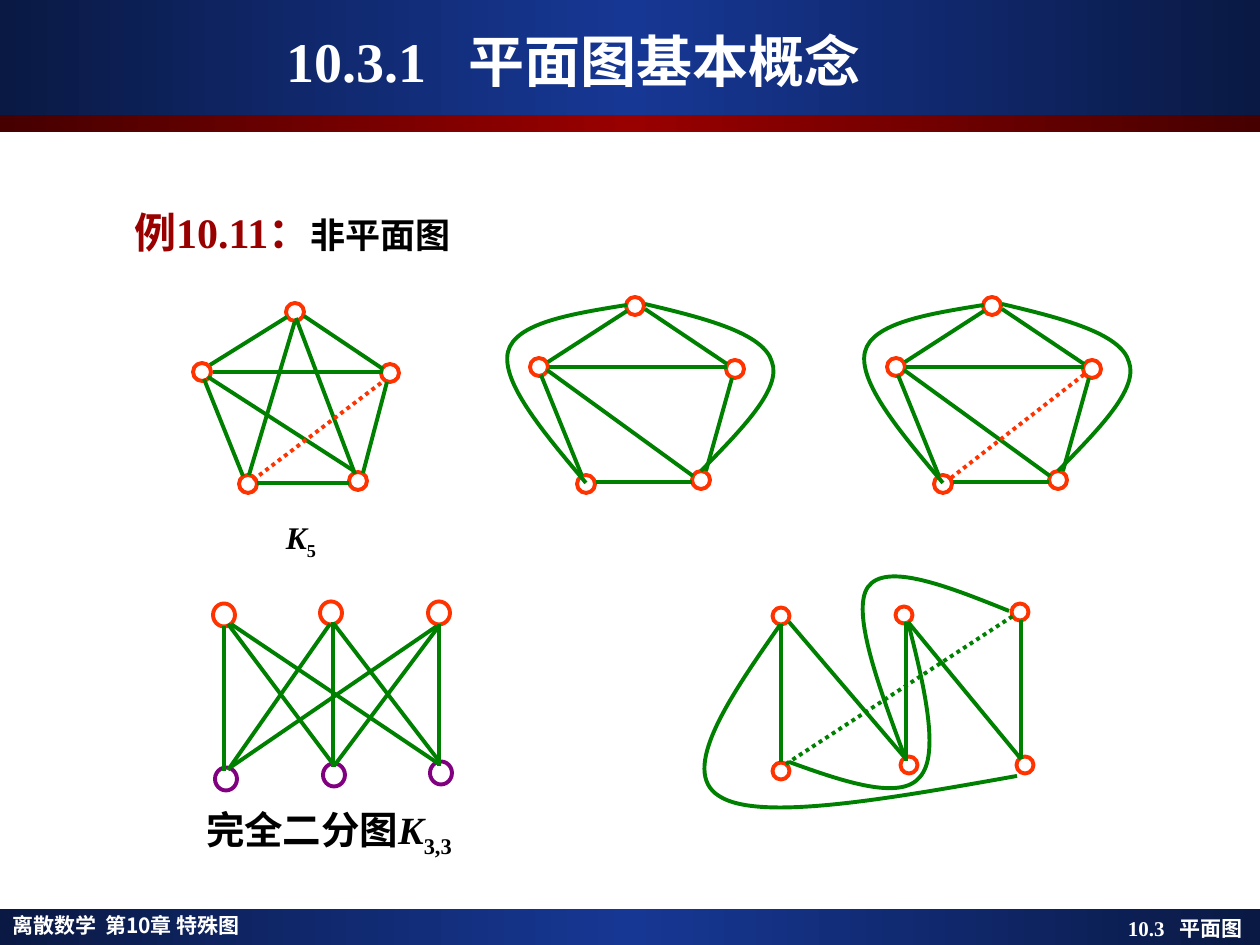
from copy import deepcopy

from lxml import etree
from pptx import Presentation
from pptx import util as u
from pptx.dml.color import RGBColor
from pptx.enum import dml, shapes, text
from pptx.oxml import ns

PX = 914400 / 126
GREEN, ORANGE, PURPLE, WHITE = "008000", "FF3300", "800080", "FFFFFF"
NAVY, RED = ("0A1944", "163794", "0A1944"), ("460000", "990000", "460000")
TIMES, NOTO = "Times New Roman", "Noto Sans CJK JP"


def px(length):
    """Turn pixels into EMU."""
    return u.Emu(round(length * PX))


def color(value):
    """Turn a hex string into a colour."""
    return RGBColor.from_string(value)


def set_line(line, shade):
    """Give a line the common width and a colour."""
    line.color.rgb = color(shade)
    line.width = u.Pt(2.25)


def add_band(page, box, shades):
    """Draw a full-width bar with a three-stop gradient."""
    band = page.shapes.add_shape(shapes.MSO_SHAPE.RECTANGLE, *map(px, box))
    band.shadow.inherit = False
    band.line.fill.background()
    band.fill.gradient()
    band.fill.gradient_angle = 0
    first = band._element.spPr.find(".//" + ns.qn("a:gs"))
    first.getparent().append(deepcopy(first))
    for index, (stop, shade) in enumerate(zip(band.fill.gradient_stops, shades)):
        stop.position = index / 2
        stop.color.rgb = color(shade)


def add_text(page, box, runs, inset=13, tab=None, spacing=None, wrap=True,
             anchor=text.MSO_ANCHOR.TOP):
    """Place one paragraph of formatted runs, with an optional tab stop."""
    frame = page.shapes.add_textbox(*map(px, box)).text_frame
    layout = {"word_wrap": wrap, "vertical_anchor": anchor, "margin_left": px(inset),
              "margin_right": px(13), "margin_top": px(6), "margin_bottom": px(6)}
    for name, value in layout.items():
        setattr(frame, name, value)
    para = frame.paragraphs[0]
    if spacing:
        para.line_spacing = spacing
    if tab:
        tabs = etree.SubElement(para._p.get_or_add_pPr(), ns.qn("a:tabLst"))
        etree.SubElement(tabs, ns.qn("a:tab"), pos=str(px(tab)), algn="l")
    for words, size, shade, style in runs:
        span = para.add_run()
        span.text = words
        values = {"name": TIMES, "size": u.Pt(size), "bold": True} | style
        baseline = values.pop("baseline", None)
        for name, value in values.items():
            setattr(span.font, name, value)
        span.font.color.rgb = color(shade)
        if baseline:
            span._r.get_or_add_rPr().set("baseline", str(baseline))


def add_nodes(group, origin, centers, width, height, shade=ORANGE):
    """Draw white vertices around the given centres."""
    for x, y in centers:
        box = origin[0] + x - width / 2, origin[1] + y - height / 2, width, height
        node = group.shapes.add_shape(shapes.MSO_SHAPE.OVAL, *map(px, box))
        node.shadow.inherit = False
        node.fill.solid()
        node.fill.fore_color.rgb = color(WHITE)
        set_line(node.line, shade)


def add_edges(group, origin, edges, shade=GREEN, dotted=False):
    """Draw straight edges given as x1, y1, x2, y2."""
    left, top = origin
    for x1, y1, x2, y2 in edges:
        ends = left + x1, top + y1, left + x2, top + y2
        edge = group.shapes.add_connector(shapes.MSO_CONNECTOR.STRAIGHT, *map(px, ends))
        set_line(edge.line, shade)
        if dotted:
            edge.line.dash_style = dml.MSO_LINE.ROUND_DOT
        etree.SubElement(edge._element.spPr, ns.qn("a:effectLst"))


def bend(curve):
    """Turn each three line segments of a freeform into one cubic Bézier segment."""
    lines = list(curve._element.spPr.iter(ns.qn("a:lnTo")))
    for start in range(0, len(lines), 3):
        cubic = etree.Element(ns.qn("a:cubicBezTo"))
        lines[start].addprevious(cubic)
        for line in lines[start:start + 3]:
            cubic.append(line[0])
            line.getparent().remove(line)


def add_curves(group, origin, curves):
    """Draw curved edges through their Bézier control points."""
    for points in curves:
        controls = [(px(origin[0] + x), px(origin[1] + y)) for x, y in points]
        builder = group.shapes.build_freeform(*controls[0], scale=1.0)
        builder.add_line_segments(controls[1:], close=False)
        curve = builder.convert_to_shape()
        bend(curve)
        curve.shadow.inherit = False
        curve.fill.background()
        set_line(curve.line, GREEN)


def draw_complete_five(page, origin):
    """Draw K5 as a pentagon with its diagonals."""
    group = page.shapes.add_group_shape()
    add_nodes(group, origin, [(102, 9), (9, 69), (55, 181), (165, 178), (197, 70)], 18, 18)
    add_edges(group, origin, [
        (20, 69, 190, 69), (64, 180, 156, 180), (94, 14, 17, 62), (111, 13, 190, 66),
        (11, 76, 50, 173), (194, 79, 170, 170), (102, 18, 56, 172), (103, 15, 162, 171),
        (15, 74, 161, 168)])
    add_edges(page, origin, [(60, 177, 188, 80)], ORANGE, dotted=True)


def draw_rerouted_five(page, origin, crossing):
    """Draw K5 with two outer curves and, if asked, the crossing edge."""
    group = page.shapes.add_group_shape()
    add_nodes(group, origin, [(134, 16), (38, 77), (85, 194), (200, 190), (234, 79)], 18, 18)
    add_edges(group, origin, [
        (48, 77, 226, 77), (95, 192, 191, 192), (126, 21, 47, 72), (144, 19, 226, 74),
        (40, 85, 81, 186), (231, 88, 205, 181), (46, 80, 192, 186)])
    add_curves(group, origin, [
        [(126, 15), (70, 24), (14, 33), (7, 62), (0, 92), (42, 142), (85, 193)],
        [(144, 14), (203, 28), (263, 43), (271, 72), (281, 99), (240, 140), (200, 181)]])
    if crossing:
        add_edges(group, origin, [(93, 188, 228, 83)], ORANGE, dotted=True)


def draw_bipartite(page, origin):
    """Draw K3,3 with two rows of vertices."""
    group = page.shapes.add_group_shape()
    add_nodes(group, origin, [(11, 14), (118, 12), (226, 12)], 22, 23)
    add_nodes(group, origin, [(13, 178), (121, 174), (228, 172)], 22, 23, PURPLE)
    add_edges(group, origin, [
        (11, 25, 11, 170), (120, 21, 120, 166), (226, 23, 226, 165), (15, 23, 120, 163),
        (18, 23, 226, 163), (117, 23, 15, 169), (121, 23, 226, 160), (224, 25, 18, 166),
        (226, 25, 121, 165)])


def draw_rerouted_bipartite(page, origin):
    """Draw K3,3 with three curved edges and one crossing edge."""
    group = page.shapes.add_group_shape()
    add_nodes(group, origin, [(102, 54), (102, 209), (346, 203), (225, 53), (230, 203),
                              (341, 50)], 17, 17)
    add_edges(group, origin, [
        (102, 62, 102, 200), (227, 60, 227, 199), (342, 58, 342, 197),
        (110, 60, 227, 197), (229, 60, 342, 197)])
    add_edges(group, origin, [(107, 202, 334, 54)], dotted=True)
    add_curves(group, origin, [
        [(101, 63), (50, 136), (0, 209), (40, 234), (79, 260), (209, 237), (338, 214)],
        [(110, 200), (165, 220), (222, 239), (241, 215), (261, 193), (246, 126), (229, 60)],
        [(330, 49), (268, 24), (207, 0), (189, 25), (172, 49), (199, 123), (227, 198)]])


def main():
    """Build the slide and save it."""
    deck = Presentation()
    deck.slide_width, deck.slide_height = px(1260), px(945)
    page = deck.slides.add_slide(deck.slide_layouts[6])
    for box, shades in [((0, 909, 1260, 36), NAVY), ((0, 0, 1260, 115), NAVY),
                        ((0, 115, 1260, 17), RED)]:
        add_band(page, box, shades)
    add_text(page, (0, 909, 520, 36), [("离散数学\t第10章 特殊图", 12, WHITE, {"name": NOTO})],
             tab=92, spacing=0.9)
    add_text(page, (42, 21, 1165, 78), [("10.3.1\t平面图基本概念", 32, WHITE, {})],
             inset=244, tab=182, anchor=text.MSO_ANCHOR.MIDDLE)
    add_text(page, (937, 910, 323, 38), [("10.3\t平面图", 12, WHITE, {})], inset=191, tab=52)
    add_text(page, (74, 185, 524, 100), [("例10.11：", 24, "990000", {}),
                                         ("非平面图", 20, "000000", {})], inset=60, spacing=1.3)
    draw_complete_five(page, (193, 303))
    for left, crossing in [(501, False), (858, True)]:
        draw_rerouted_five(page, (left, 290), crossing)
    draw_rerouted_bipartite(page, (679, 562))
    draw_bipartite(page, (213, 601))
    italic, subscript = {"italic": True}, {"baseline": -25000}
    add_text(page, (193, 800, 307, 66), [("完全二分图", 22, "000000", {}),
                                         ("K", 22, "000000", italic),
                                         ("3,3", 22, "000000", subscript)])
    add_text(page, (273, 512, 64, 55), [("K", 18, "000000", italic),
                                        ("5", 18, "000000", subscript)], wrap=False)
    deck.save("out.pptx")


if __name__ == "__main__":
    main()
